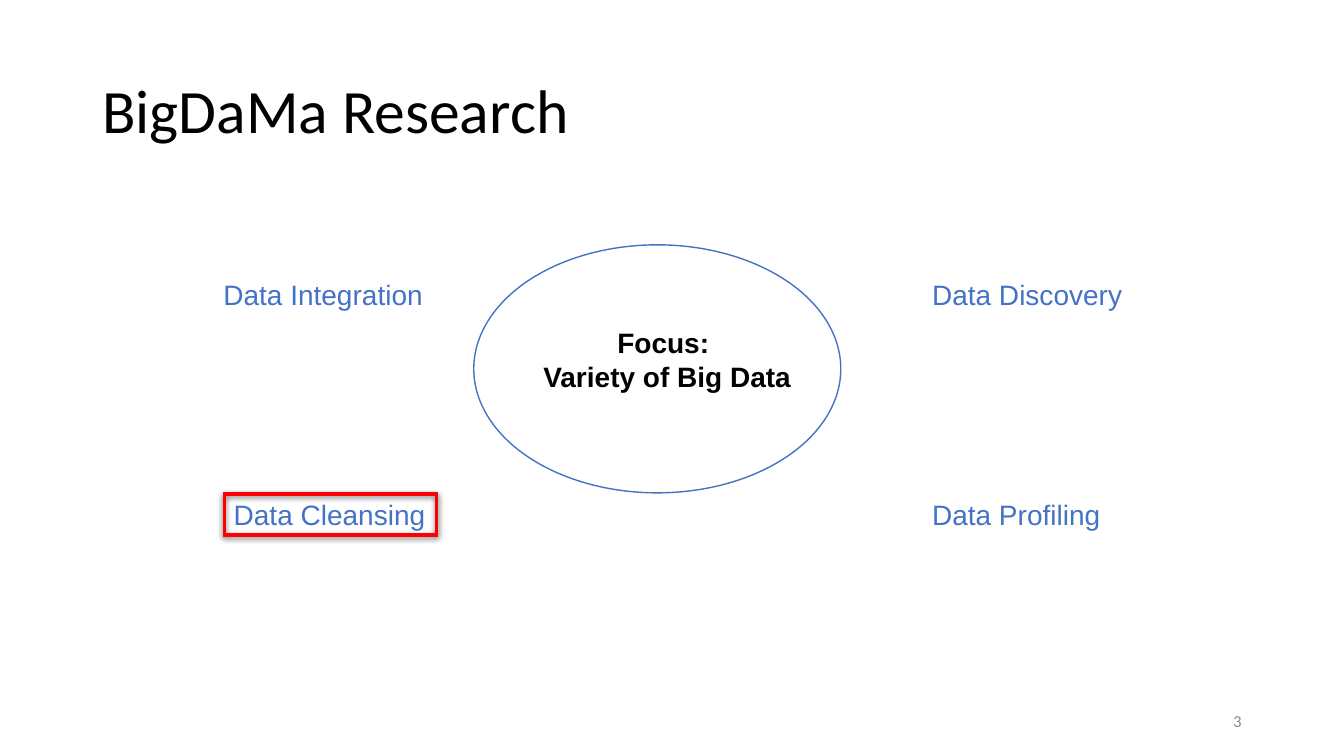
import lxml.etree
import pptx
import pptx.dml.color
import pptx.enum.shapes
import pptx.enum.text
import pptx.oxml.ns
import pptx.util

Cm = pptx.util.Cm
Pt = pptx.util.Pt
Align = pptx.enum.text.PP_ALIGN
Anchor = pptx.enum.text.MSO_ANCHOR
Shapes = pptx.enum.shapes.MSO_SHAPE

BLACK, BLUE, RED, GRAY = "000000", "4472C4", "FF0000", "8C8C8C"


def color(hex_value):
    return pptx.dml.color.RGBColor.from_string(hex_value)


def write(frame, text, size=20, font="Arial", fill=BLUE, bold=False,
          align=Align.LEFT, spacing=None):
    """Fill a text frame, one paragraph per line of text."""
    for index, line in enumerate(text.split("\n")):
        paragraph = frame.paragraphs[0] if index == 0 else frame.add_paragraph()
        paragraph.alignment = align
        if spacing:
            paragraph.line_spacing = spacing
        run = paragraph.add_run()
        run.text = line
        run.font.size = Pt(size)
        run.font.name = font
        run.font.bold = bold
        run.font.color.rgb = color(fill)


class SlideBuilder:
    def __init__(self, slide):
        self.slide = slide

    def text(self, text, left, top, width, height, wrap=True,
             anchor=Anchor.TOP, **style):
        box = self.slide.shapes.add_textbox(Cm(left), Cm(top), Cm(width), Cm(height))
        frame = box.text_frame
        frame.word_wrap = wrap
        frame.vertical_anchor = anchor
        if not wrap:
            frame.auto_size = pptx.enum.text.MSO_AUTO_SIZE.SHAPE_TO_FIT_TEXT
        write(frame, text, **style)

    def shape(self, kind, left, top, width, height, line, line_width, fill=None):
        shape = self.slide.shapes.add_shape(
            kind, Cm(left), Cm(top), Cm(width), Cm(height))
        shape.shadow.inherit = False
        if fill:
            shape.fill.solid()
            shape.fill.fore_color.rgb = color(fill)
        else:
            shape.fill.background()
        shape.line.color.rgb = color(line)
        shape.line.width = Pt(line_width)
        return shape

    def highlight(self, left, top, width, height):
        """Thin red frame with a soft shadow below it."""
        frame = self.shape(Shapes.FRAME, left, top, width, height, RED, 0.75, RED)
        frame.adjustments[0] = 0.051
        qn = pptx.oxml.ns.qn
        effects = frame.element.spPr.find(qn("a:effectLst"))
        shadow = lxml.etree.SubElement(
            effects, qn("a:outerShdw"), blurRad=str(Pt(4.5)), dist=str(Pt(1.5)),
            dir="5400000", algn="ctr", rotWithShape="0")
        shade = lxml.etree.SubElement(shadow, qn("a:srgbClr"), val=BLACK)
        lxml.etree.SubElement(shade, qn("a:alpha"), val="63000")


def main():
    presentation = pptx.Presentation()
    presentation.slide_width = Cm(33.87)
    presentation.slide_height = Cm(19.05)
    builder = SlideBuilder(presentation.slides.add_slide(presentation.slide_layouts[6]))

    # Title
    builder.text("BigDaMa Research", 2.33, 1.01, 29.21, 3.68, anchor=Anchor.MIDDLE,
                 size=44, font="Calibri", fill=BLACK, spacing=0.9)

    # Central focus
    builder.shape(Shapes.OVAL, 11.94, 6.17, 9.25, 6.25, BLUE, 1)
    builder.text("Focus: \nVariety of Big Data", 13.41, 8.08, 6.81, 1.96,
                 wrap=False, fill=BLACK, bold=True, align=Align.CENTER)

    # Research areas around the focus
    upper, lower, right = 6.86, 12.4, 23.24
    for area, left, top, width in (
        ("Data Integration", 5.38, upper, 5.59),
        ("Data Profiling", right, lower, 4.8),
        ("Data Cleansing", 5.64, lower, 5.38),
        ("Data Discovery", right, upper, 5.33),
    ):
        builder.text(area, left, top, width, 1.12, wrap=False)

    # Highlighted area
    builder.highlight(5.64, 12.42, 5.38, 1.09)

    # Slide number
    builder.text("3", 23.92, 17.66, 7.62, 1.01, anchor=Anchor.MIDDLE,
                 size=12, font="Calibri", fill=GRAY, align=Align.RIGHT)

    presentation.save("out.pptx")


if __name__ == "__main__":
    main()
